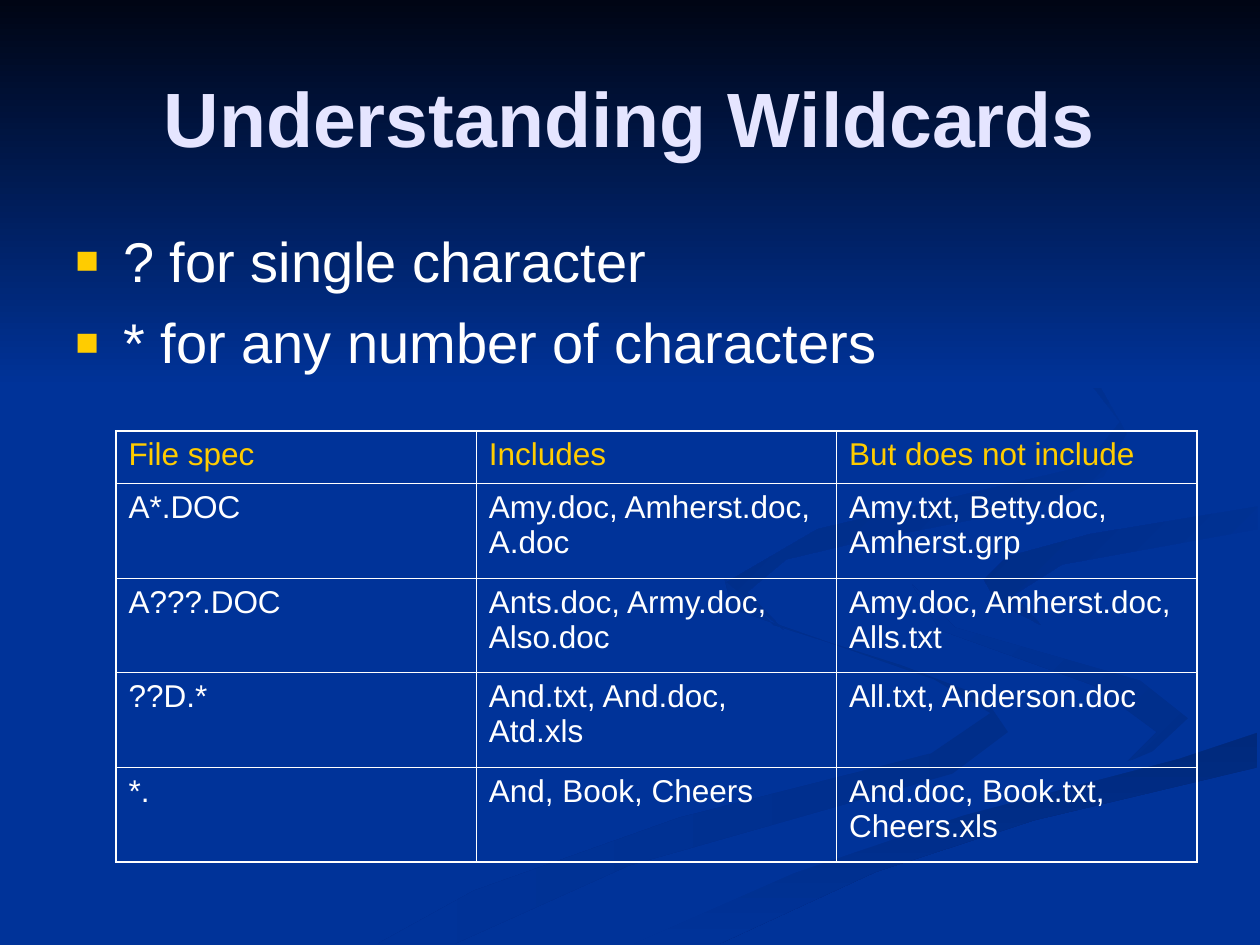
import pptx
import pptx.dml.color
import pptx.enum.text
import pptx.oxml
import pptx.oxml.ns
import pptx.util
from pptx.util import Inches

COLORS = {
    "background": "003399", "night": "000514", "title": "E5E5FF",
    "text": "FFFFFF", "accent": "FFCC00", "tail": "002E8A",
    "ribbon": "00297C", "bend": "002C85", "loop": "002B81",
}
FONT = "Arial"

SWIRLS = [
    ("tail", "background", 180, [
        (7.81, 5.53), (7.15, 5.28), (6.14, 4.96), (5.75, 4.59), (5.81, 4.83),
        (7.41, 5.39), (7.86, 5.66), (7.39, 5.98), (5.39, 6.49), (3.76, 7.07),
        (3, 7.49), (3.61, 7.49), (4.99, 6.87), (7.56, 6.14), (8, 5.81)]),
    ("tail", "background", 225, [
        (9.43, 5.7), (9.05, 5.4), (7.58, 4.98), (7.24, 4.64), (7.46, 5),
        (8.68, 5.44), (9.18, 5.81), (8.94, 6.05), (9.32, 5.89)]),
    ("ribbon", "background", 90, [
        (5.03, 7.49), (5.71, 7.49), (6.95, 6.92), (8.21, 6.51), (9.98, 6.09),
        (9.98, 5.81), (9.36, 6.02), (7.64, 6.47), (6.3, 6.93)]),
    ("background", "background", 90, [
        (7.25, 4.64), (7.59, 4.98), (9.05, 5.4), (9.43, 5.7), (9.11, 6),
        (7.43, 6.43), (5.73, 7.03), (4.77, 7.49), (5.03, 7.49), (6.3, 6.93),
        (7.65, 6.47), (9.36, 6.02), (9.99, 5.81), (9.99, 5.38), (8.66, 5.09),
        (7.81, 4.63), (8.22, 4.34), (9.99, 4.02), (9.99, 3.87), (7.88, 4.22)]),
    ("background", "bend", 225, [
        (7.81, 4.6), (7.91, 4.78), (8.26, 4.96), (8.05, 4.72), (8.43, 4.48),
        (9.98, 4.2), (9.98, 4.02), (8.65, 4.24), (7.99, 4.42)]),
    ("background", "loop", 225, [
        (6.83, 4.3), (8.25, 4.02), (8.76, 3.78), (8.94, 3.44), (8.64, 2.91),
        (7.62, 2.33), (8.46, 2.79), (8.89, 3.35), (8.61, 3.7), (6.49, 4.2),
        (5.77, 4.62), (6.22, 5), (5.93, 4.7), (6.24, 4.44)]),
    ("night", "background", 90, [(0, 0), (0, 3.08), (10, 3.08), (10, 0)]),
]

BULLETS = ["? for single character", "* for any number of characters"]
WILDCARDS = [
    ["File spec", "Includes", "But does not include"],
    ["A*.DOC", "Amy.doc, Amherst.doc, A.doc", "Amy.txt, Betty.doc, Amherst.grp"],
    ["A???.DOC", "Ants.doc, Army.doc, Also.doc", "Amy.doc, Amherst.doc, Alls.txt"],
    ["??D.*", "And.txt, And.doc, Atd.xls", "All.txt, Anderson.doc"],
    ["*.", "And, Book, Cheers", "And.doc, Book.txt, Cheers.xls"],
]


def rgb(name):
    """Return the named colour."""
    return pptx.dml.color.RGBColor.from_string(COLORS[name])


def xml(body):
    """Parse one DrawingML element."""
    return pptx.oxml.parse_xml(body.replace(" ", f" {pptx.oxml.ns.nsdecls('a')} ", 1))


def write(paragraph, text, size, color, bold=False):
    """Add a formatted run to a paragraph."""
    run = paragraph.add_run()
    run.text = text
    run.font.name, run.font.size = FONT, pptx.util.Pt(size)
    run.font.bold, run.font.color.rgb = bold, rgb(color)


def add_swirl(slide, start, end, angle, outline):
    """Draw a closed outline filled with one colour or a clockwise gradient."""
    points = [(Inches(x), Inches(y)) for x, y in outline]
    builder = slide.shapes.build_freeform(*points[0])
    builder.add_line_segments(points[1:], close=True)
    swirl = builder.convert_to_shape()
    swirl.shadow.inherit = False
    swirl.line.fill.background()
    if start == end:
        swirl.fill.solid()
        swirl.fill.fore_color.rgb = rgb(start)
        return
    swirl.fill.gradient()
    swirl.fill.gradient_angle = 360 - angle
    for stop, name in zip(swirl.fill.gradient_stops, (start, end)):
        stop.color.rgb = rgb(name)


def set_title(slide, text):
    """Place the title in front of the backdrop and fill it."""
    title = slide.shapes.title
    slide.shapes._spTree.append(title._element)
    title.left, title.top, title.width, title.height = map(Inches, (0.5, 0.3, 9, 1.25))
    title.text_frame.vertical_anchor = pptx.enum.text.MSO_ANCHOR.MIDDLE
    heading = title.text_frame.paragraphs[0]
    heading.alignment = pptx.enum.text.PP_ALIGN.CENTER
    write(heading, text, 44, "title", True)


def add_bullets(slide, lines):
    """Add the list with square bullets."""
    frame = slide.shapes.add_textbox(*map(Inches, (0.5, 1.75, 9, 4.95))).text_frame
    frame.word_wrap = True
    for index, line in enumerate(lines):
        item = frame.add_paragraph() if index else frame.paragraphs[0]
        item.space_before = pptx.util.Pt(8)
        properties = item._p.get_or_add_pPr()
        properties.set("marL", str(Inches(0.38)))
        properties.set("indent", str(-Inches(0.38)))
        properties.append(xml(f'<a:buClr ><a:srgbClr val="{COLORS["accent"]}"/></a:buClr>'))
        properties.append(xml('<a:buSzPct val="70000"/>'))
        properties.append(xml(f'<a:buFont typeface="{FONT}"/>'))
        properties.append(xml('<a:buChar char="■"/>'))
        write(item, line, 32, "text")


def set_borders(cell, outer_sides):
    """Draw the four borders of a cell, heavier on the outer sides."""
    for index, side in enumerate("LRTB"):
        width = pptx.util.Pt(1.08 if side in outer_sides else 0.45)
        cell._tc.get_or_add_tcPr().insert(index, xml(
            f'<a:ln{side} w="{width}"><a:solidFill><a:srgbClr val="{COLORS["text"]}"/>'
            f'</a:solidFill></a:ln{side}>'))


def add_wildcard_table(slide, rows):
    """Add the table of wildcard examples."""
    last_row, last_column = len(rows) - 1, len(rows[0]) - 1
    table = slide.shapes.add_table(len(rows), len(rows[0]),
                                   *map(Inches, (0.92, 3.42, 8.58, 3.42))).table
    table.first_row = table.horz_banding = False
    for r, row in enumerate(rows):
        table.rows[r].height = Inches(0.75 if r else 0.42)
        for c, text in enumerate(row):
            cell = table.cell(r, c)
            cell.fill.background()
            edges = {"L": c == 0, "R": c == last_column, "T": r == 0, "B": r == last_row}
            set_borders(cell, [side for side, outer in edges.items() if outer])
            entry = cell.text_frame.paragraphs[0]
            entry.space_before = pptx.util.Pt(4.5)
            write(entry, text, 18, "text" if r else "accent")


def main():
    """Build the slide and save it."""
    deck = pptx.Presentation()
    deck.slide_width, deck.slide_height = Inches(10), Inches(7.5)
    slide = deck.slides.add_slide(deck.slide_layouts[5])
    slide.background.fill.solid()
    slide.background.fill.fore_color.rgb = rgb("background")
    for swirl in SWIRLS:
        add_swirl(slide, *swirl)
    set_title(slide, "Understanding Wildcards")
    add_bullets(slide, BULLETS)
    add_wildcard_table(slide, WILDCARDS)
    deck.save("out.pptx")


if __name__ == "__main__":
    main()
